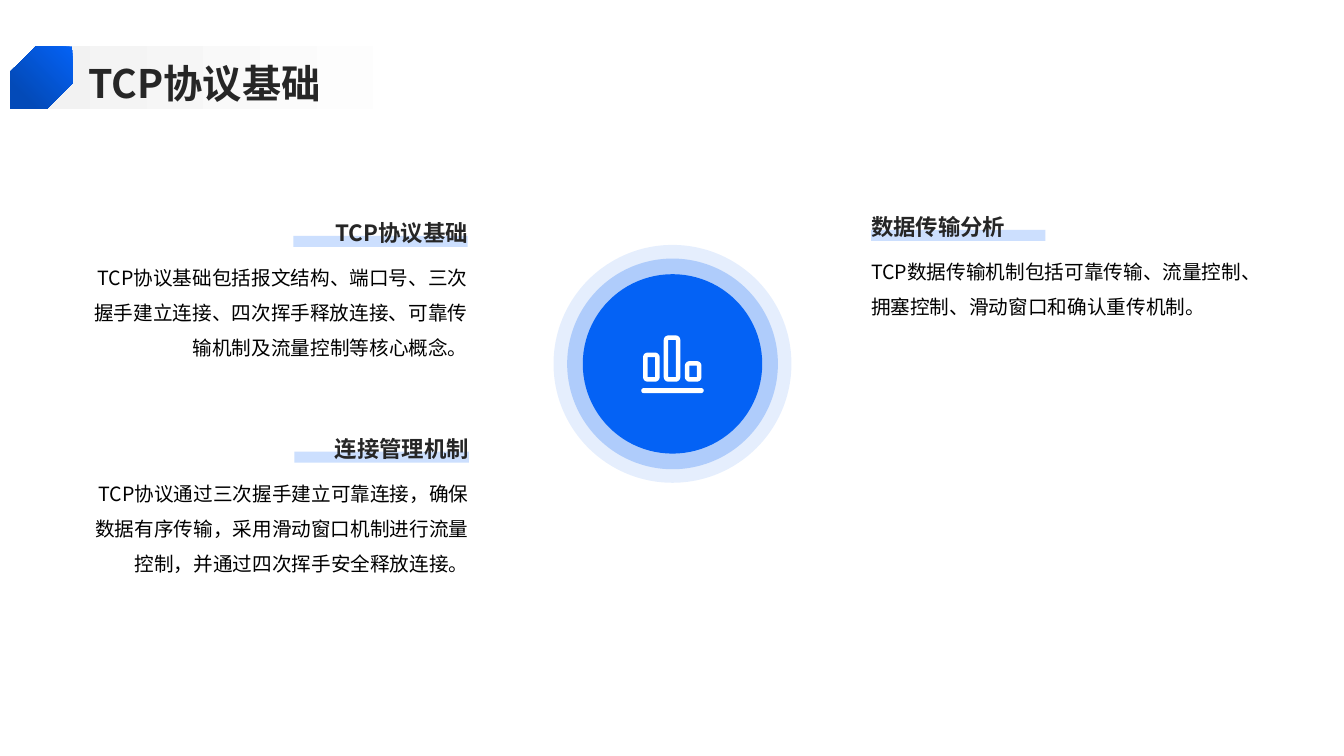
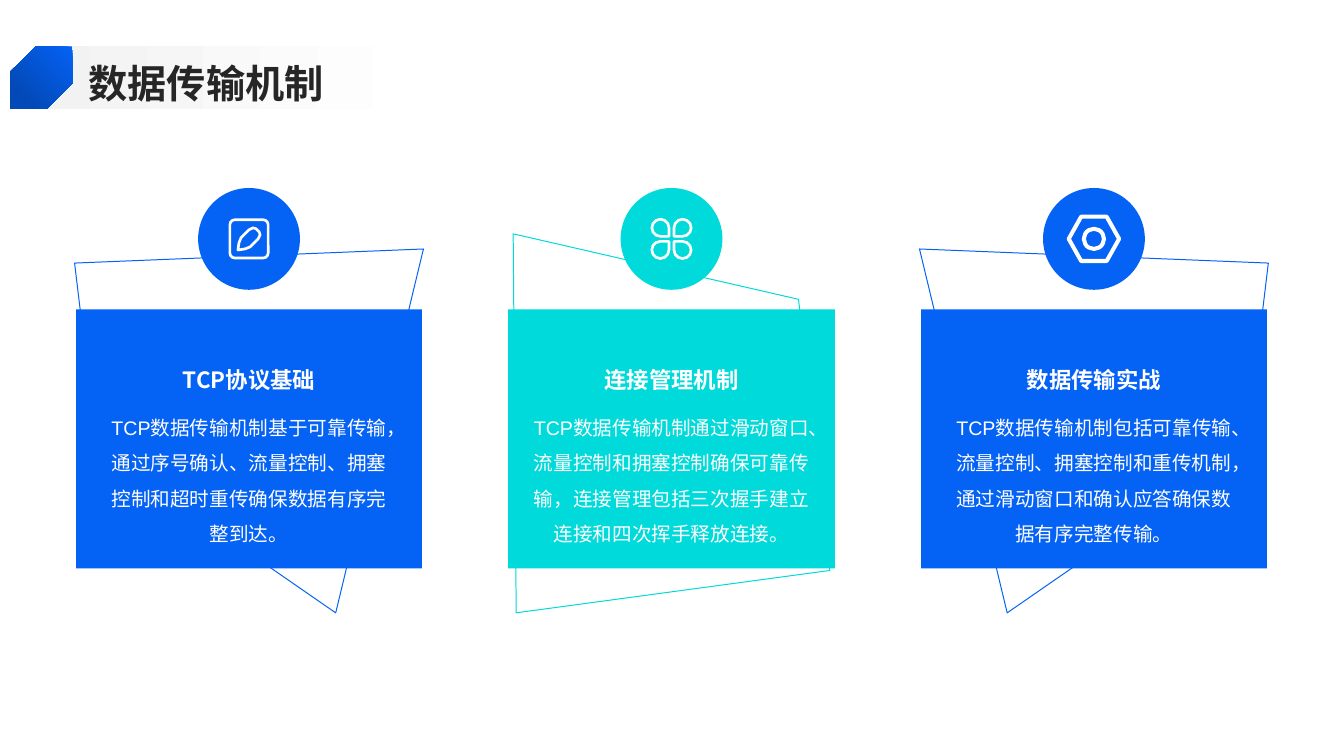
from lxml import etree
from pptx import Presentation
from pptx.dml.color import RGBColor
from pptx.enum.shapes import MSO_SHAPE
from pptx.enum.text import MSO_ANCHOR, PP_ALIGN
from pptx.oxml.ns import qn
from pptx.util import Inches, Pt

RECT, ROUND_RECT = MSO_SHAPE.RECTANGLE, MSO_SHAPE.ROUNDED_RECTANGLE
OVAL, HEXAGON = MSO_SHAPE.OVAL, MSO_SHAPE.HEXAGON
TEAR, SNIPPED = MSO_SHAPE.TEAR, MSO_SHAPE.SNIP_2_DIAG_RECTANGLE
LEFT, CENTER, RIGHT = PP_ALIGN.LEFT, PP_ALIGN.CENTER, PP_ALIGN.RIGHT
TOP, MIDDLE, BOTTOM = MSO_ANCHOR.TOP, MSO_ANCHOR.MIDDLE, MSO_ANCHOR.BOTTOM

BLUE = RGBColor(0x04, 0x62, 0xF5)
DEEP_BLUE = RGBColor(0x03, 0x4A, 0xB8)
PALE_BLUE = RGBColor(0xCC, 0xDF, 0xFE)
TEAL = RGBColor(0x00, 0xDA, 0xDA)
GREY = RGBColor(0xF2, 0xF2, 0xF2)
INK = RGBColor(0x26, 0x26, 0x26)
BLACK = RGBColor(0, 0, 0)
WHITE = RGBColor(0xFF, 0xFF, 0xFF)

CJK = "Noto Sans CJK SC"
TITLE = {"size": Pt(28), "bold": True, "name": CJK}
HEADING = {"size": Pt(16), "bold": True, "name": CJK}
BODY = {"size": Pt(14), "bold": False, "name": CJK}
CARD_BODY = {**BODY, "name": "Arial"}


class Deck:
    """Holds the shared style and the slide being built."""

    def __init__(self):
        self.prs = Presentation()
        self.prs.slide_width = Inches(13.33)
        self.prs.slide_height = Inches(7.5)
        self.slide = None

    def new_slide(self, title):
        self.slide = self.prs.slides.add_slide(self.prs.slide_layouts[6])
        # Title band, title and snipped corner mark
        band = self.shape(RECT, 0.33, 0.46, 4.92, 0.62)
        self.gradient(band, GREY, WHITE, 0)
        self.text(title, 0.88, 0.54, 11.88, 0.51, TITLE, INK,
                  anchor=MIDDLE, spacing=1.1)
        mark = self.shape(SNIPPED, 0.1, 0.46, 0.62, 0.62, adjust=(0, 0.41))
        self.gradient(mark, BLUE, DEEP_BLUE, 315)
        mark._element.spPr.xfrm.set("flipH", "1")

    def paint(self, shape, fill=None, line=None, weight=0.7):
        shape.shadow.inherit = False
        if fill is None:
            shape.fill.background()
        else:
            shape.fill.solid()
            shape.fill.fore_color.rgb = fill
        if line is None:
            shape.line.fill.background()
        else:
            shape.line.color.rgb = line
            shape.line.width = Pt(weight)
        return shape

    def shape(self, kind, left, top, width, height, adjust=(), **paint):
        shape = self.slide.shapes.add_shape(
            kind, Inches(left), Inches(top), Inches(width), Inches(height))
        for index, value in enumerate(adjust):
            shape.adjustments[index] = value
        return self.paint(shape, **paint)

    def circle(self, x, y, diameter, **paint):
        return self.shape(OVAL, x - diameter / 2, y - diameter / 2,
                          diameter, diameter, **paint)

    def polygon(self, points, **paint):
        corners = [(Inches(x), Inches(y)) for x, y in points]
        builder = self.slide.shapes.build_freeform(*corners[0], scale=1.0)
        builder.add_line_segments(corners[1:], close=True)
        return self.paint(builder.convert_to_shape(), **paint)

    def gradient(self, shape, first, last, angle):
        shape.fill.gradient()
        shape.fill.gradient_angle = angle
        for stop, color, position in zip(shape.fill.gradient_stops,
                                         (first, last), (0, 0.8)):
            stop.color.rgb = color
            stop.position = position

    def fade(self, shape, percent):
        color = shape._element.spPr.find(".//" + qn("a:srgbClr"))
        etree.SubElement(color, qn("a:alpha")).set("val", str(percent * 1000))

    def text(self, words, left, top, width, height, style, color,
             align=LEFT, anchor=TOP, spacing=1.5):
        frame = self.slide.shapes.add_textbox(
            Inches(left), Inches(top), Inches(width), Inches(height)).text_frame
        layout = {"word_wrap": True, "vertical_anchor": anchor,
                  "margin_left": 0, "margin_right": 0,
                  "margin_top": 0, "margin_bottom": 0}
        for key, value in layout.items():
            setattr(frame, key, value)
        paragraph = frame.paragraphs[0]
        paragraph.alignment = align
        paragraph.line_spacing = spacing
        run = paragraph.add_run()
        run.text = words
        for key, value in style.items():
            setattr(run.font, key, value)
        run.font.color.rgb = color
        etree.SubElement(run._r.rPr, qn("a:ea")).set("typeface", CJK)

    def topic(self, heading, body, left, top, align):
        """Heading over a pale underline, with a paragraph below."""
        width, bar = 3.74, 1.73
        bar_left = left + width - bar if align == RIGHT else left
        self.shape(RECT, bar_left, top + 0.37, bar, 0.11, fill=PALE_BLUE)
        self.text(heading, left, top, width, 0.47, HEADING, INK, align, BOTTOM)
        self.text(body, left, top + 0.55, width, 1.51, BODY, BLACK, align)

    def card(self, heading, body, center, width, outline, color):
        """Panel over a skewed outline, topped by a disc."""
        self.polygon(outline, line=color)
        self.shape(RECT, center - width / 2, 3.07, width, 2.57, fill=color)
        self.circle(center, 2.37, 1.01, fill=color)
        left = center - 1.415
        self.text(heading, left, 3.18, 2.83, 0.72, HEADING, WHITE,
                  CENTER, BOTTOM, 1.3)
        self.text(body, left, 4.01, 2.83, 1.49, CARD_BODY, WHITE, CENTER)

    # Icons
    def chart_icon(self):
        bottom = 3.765
        for left, top in ((6.4, 3.52), (6.605, 3.35), (6.815, 3.605)):
            self.shape(ROUND_RECT, left, top, 0.12, bottom - top,
                       adjust=(0.2,), line=WHITE, weight=3.2)
        self.shape(ROUND_RECT, 6.36, 3.85, 0.62, 0.05, adjust=(0.5,), fill=WHITE)

    def pen_icon(self, x, y):
        self.shape(ROUND_RECT, x - 0.19, y - 0.19, 0.38, 0.38,
                   adjust=(0.13,), line=WHITE, weight=1.9)
        nib = ((-0.11, 0.11), (-0.1, 0.04), (-0.08, -0.01), (0, -0.09),
               (0.04, -0.11), (0.07, -0.1), (0.1, -0.07), (0.11, -0.04),
               (0.09, 0), (0.01, 0.08), (-0.04, 0.1))
        self.polygon([(x + dx, y + dy) for dx, dy in nib],
                     line=WHITE, weight=1.9)

    def clover_icon(self, x, y):
        size, offset = 0.17, 0.11
        quarters = ((-1, 1), (-1, -1), (1, -1), (1, 1))
        for turn, (dx, dy) in enumerate(quarters):
            petal = self.shape(TEAR, x + dx * offset - size / 2,
                               y + dy * offset - size / 2, size, size,
                               line=WHITE, weight=1.9)
            petal.rotation = turn * 90

    def nut_icon(self, x, y):
        self.shape(HEXAGON, x - 0.25, y - 0.22, 0.5, 0.44,
                   adjust=(0.28,), line=WHITE, weight=2.9)
        self.circle(x, y, 0.2, line=WHITE, weight=2.9)


def build_basics(deck):
    deck.new_slide("TCP协议基础")
    # Topics around the centre
    topics = (
        ("TCP协议基础",
         "TCP协议基础包括报文结构、端口号、三次握手建立连接、四次挥手释放连接、"
         "可靠传输机制及流量控制等核心概念。", 0.9, 1.97, RIGHT),
        ("连接管理机制",
         "TCP协议通过三次握手建立可靠连接，确保数据有序传输，采用滑动窗口机制"
         "进行流量控制，并通过四次挥手安全释放连接。", 0.91, 4.11, RIGHT),
        ("数据传输分析",
         "TCP数据传输机制包括可靠传输、流量控制、拥塞控制、滑动窗口和确认重传机制。",
         8.64, 1.91, LEFT),
    )
    for topic in topics:
        deck.topic(*topic)
    # Concentric discs
    for diameter, opacity in ((2.36, 10), (2.09, 24), (1.78, 100)):
        disc = deck.circle(6.67, 3.61, diameter, fill=BLUE)
        if opacity < 100:
            deck.fade(disc, opacity)
    deck.chart_icon()


def build_transfer(deck):
    deck.new_slide("数据传输机制")
    # Outlines: the right one mirrors the left one
    left_outline = ((3.33, 6.08), (0.96, 4.44), (0.74, 2.61), (4.2, 2.47))
    middle_outline = ((8.23, 5.66), (5.12, 6.08), (5.09, 2.32), (7.92, 2.97))
    right_outline = [(13.32 - x, y) for x, y in left_outline]
    # Three cards at equal steps
    cards = (
        ("TCP协议基础",
         "TCP数据传输机制基于可靠传输，通过序号确认、流量控制、拥塞控制和"
         "超时重传确保数据有序完整到达。",
         3.43, left_outline, BLUE, deck.pen_icon),
        ("连接管理机制",
         "TCP数据传输机制通过滑动窗口、流量控制和拥塞控制确保可靠传输，"
         "连接管理包括三次握手建立连接和四次挥手释放连接。",
         3.24, middle_outline, TEAL, deck.clover_icon),
        ("数据传输实战",
         "TCP数据传输机制包括可靠传输、流量控制、拥塞控制和重传机制，"
         "通过滑动窗口和确认应答确保数据有序完整传输。",
         3.43, right_outline, BLUE, deck.nut_icon),
    )
    for index, (heading, body, width, outline, color, icon) in enumerate(cards):
        center = 2.47 + index * 4.19
        deck.card(heading, body, center, width, outline, color)
        icon(center, 2.37)


def main():
    deck = Deck()
    build_basics(deck)
    build_transfer(deck)
    deck.prs.save("out.pptx")


if __name__ == "__main__":
    main()
